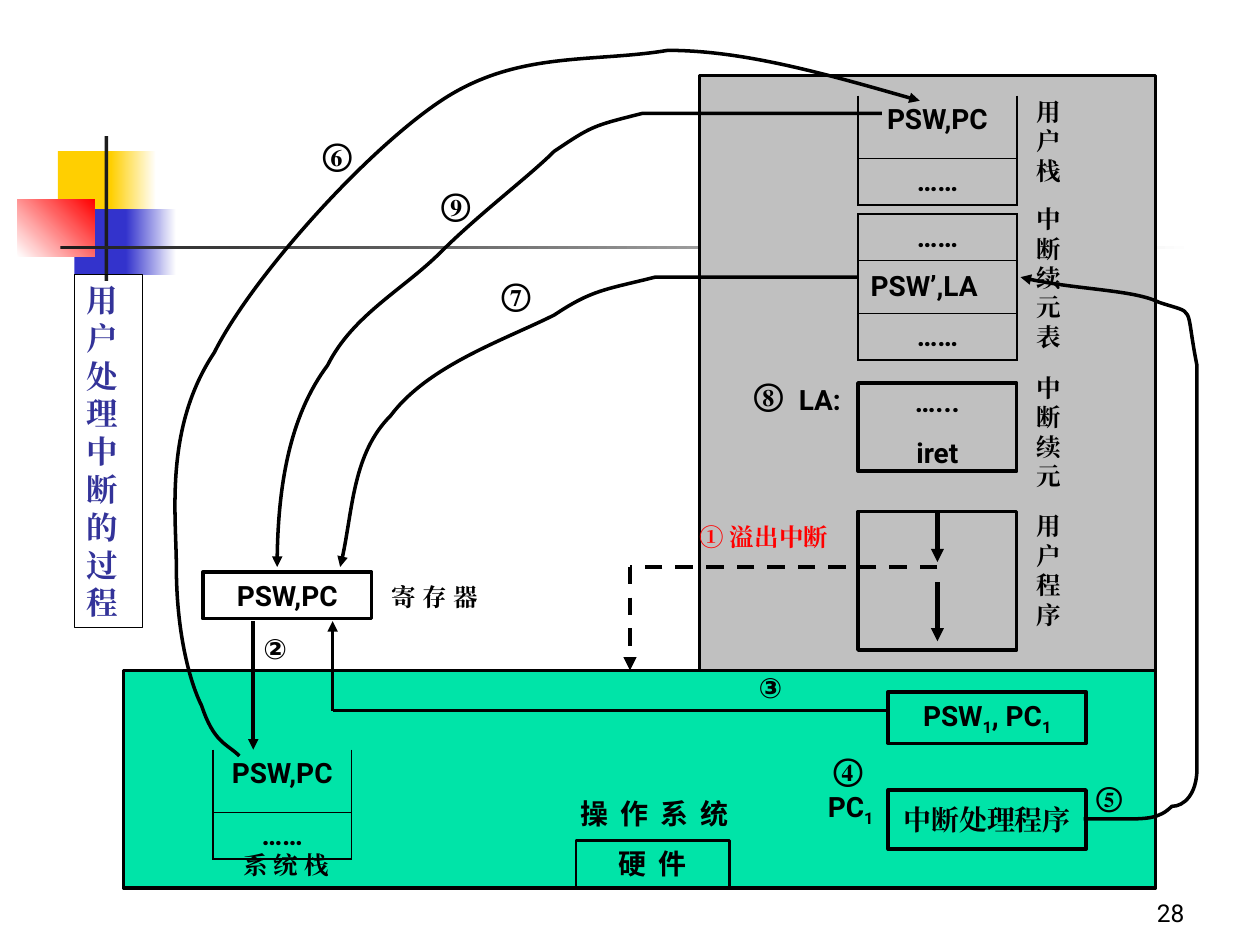
from lxml import etree
from pptx import Presentation
from pptx import util as u
from pptx.dml.color import RGBColor
from pptx.enum import dml, shapes, text
from pptx.oxml import ns

COLS, ROWS = 100, 75  # the page is a grid of square cells
CELL = u.Inches(0.1)
COLORS = {"ink": "000000", "gray": "C0C0C0", "green": "00E4A8", "red": "FF0000",
          "title": "333399", "yellow": "FFCF01", "blue": "3333CC",
          "white": "FFFFFF", "dark": "1C1C1C"}
RGB = {name: RGBColor.from_string(value) for name, value in COLORS.items()}
SANS, SERIF, CJK = "Roboto", "Times New Roman", "Noto Sans CJK SC"
LEFT, CENTER, RIGHT = text.PP_ALIGN.LEFT, text.PP_ALIGN.CENTER, text.PP_ALIGN.RIGHT
MIDDLE = text.MSO_ANCHOR.MIDDLE


def write(frame, lines, size=16, font=SANS, align=CENTER, color="ink", bold=True, gap=0, spread=0):
    """Fill a text frame; the parts between underscores become subscripts."""
    frame.word_wrap = True
    for number, line in enumerate(lines):
        para = frame.add_paragraph() if number else frame.paragraphs[0]
        para.alignment = align
        if number and gap:
            para.space_before = u.Pt(gap)
        for index, part in enumerate(line.split("_")):
            if not part:
                continue
            span = para.add_run()
            span.text = part
            span.font.size, span.font.bold = u.Pt(size), bold
            span.font.name = font
            span.font.color.rgb = RGB[color]
            props = span.font._element
            etree.SubElement(props, ns.qn("a:ea")).set("typeface", font)
            if index % 2:
                props.set("baseline", "-25000")
            if spread:
                props.set("spc", str(spread))


def stroke(shape, width=2, arrow=False, dashed=False):
    """Give a shape or connector a plain black line and no shadow."""
    shape.line.color.rgb = RGB["ink"]
    shape.line.width = u.Pt(width)
    if dashed:
        shape.line.dash_style = dml.MSO_LINE.DASH
    if arrow:
        etree.SubElement(shape.line._get_or_add_ln(), ns.qn("a:tailEnd")).set("type", "triangle")
    props = shape._element.spPr
    if props.find(ns.qn("a:effectLst")) is None:
        etree.SubElement(props, ns.qn("a:effectLst"))


deck = Presentation()
deck.slide_width, deck.slide_height = COLS * CELL, ROWS * CELL
page = deck.slides.add_slide(deck.slide_layouts[6])

# Corner ornament: x, y, width, height, start colour, end colour, angle
ornament = [
    (4.6, 12, 4.8, 5.2, "yellow", None, 0),
    (8.8, 12, 3.6, 5.2, "yellow", "white", 0),
    (5.9, 16.6, 4.6, 5.2, "blue", None, 0),
    (10, 16.6, 4, 5.2, "blue", "white", 0),
    (1.4, 15.8, 6.1, 4.6, "white", "red", 45),
    (8.3, 10.8, 0.3, 11.5, "dark", None, 0),
    (4.8, 19.5, 90, 0.3, "dark", "white", 0),
]
for x, y, w, h, start, end, angle in ornament:
    patch = page.shapes.add_shape(shapes.MSO_SHAPE.RECTANGLE, *(int(n * CELL) for n in (x, y, w, h)))
    patch.shadow.inherit = False
    patch.line.fill.background()
    if end:
        patch.fill.gradient()
        patch.fill.gradient_angle = angle
        for stop, color in zip(patch.fill.gradient_stops, (start, end)):
            stop.color.rgb = RGB[color]
    else:
        patch.fill.solid()
        patch.fill.fore_color.rgb = RGB[start]

# Outlined boxes: x, y, width, height, fill, line width, lines, text options
boxes = [
    (55.5, 6, 36.2, 47.2, "gray", 2, [], {}),
    (9.8, 53.2, 81.9, 17.3, "green", 2, [], {}),
    (45.7, 66.7, 12.2, 3.7, None, 1.5, ["硬 件"], {"font": CJK, "spread": 170}),
    (70.5, 62.7, 15.7, 4.7, None, 2, ["中断处理程序"], {"font": SERIF}),
    (16.1, 45.4, 13.4, 3.7, None, 2, ["PSW,PC"], {}),
    (68.1, 40.6, 12.6, 11, None, 2, [], {}),
    (68.1, 30.4, 12.6, 7, None, 2, ["…...", "iret"], {"gap": 10}),
    (70.5, 54.9, 15.7, 4.1, None, 2, ["PSW_1_, PC_1"], {}),
    (5.9, 21.8, 5.4, 28, None, 0.75, list("用户处理中断的过程"),
     {"size": 18, "font": SERIF, "align": LEFT, "color": "title"}),
]
for x, y, w, h, fill, width, lines, options in boxes:
    box = page.shapes.add_shape(shapes.MSO_SHAPE.RECTANGLE, *(int(n * CELL) for n in (x, y, w, h)))
    stroke(box, width)
    if fill:
        box.fill.solid()
        box.fill.fore_color.rgb = RGB[fill]
    else:
        box.fill.background()
    if lines:
        frame = box.text_frame
        frame.margin_top = frame.margin_bottom = 0
        frame.vertical_anchor = MIDDLE
        write(frame, lines, **options)

# Stacks and the continuation table: x, y, width, row heights, rows, closed at the top
tables = [
    (16.9, 59.5, 11, (5, 3.7), ("", "……"), False),
    (68.1, 7.6, 12.6, (5, 3.7), ("", "……"), False),
    (68.1, 17, 12.6, (3.7, 4.2, 3.7), ("……", "PSW’,LA", "……"), True),
]
for x, y, w, heights, rows, closed in tables:
    holder = page.shapes.add_table(len(rows), 1, *(int(n * CELL) for n in (x, y, w, sum(heights))))
    table = holder.table
    table.first_row = table.horz_banding = False
    table._tbl.tblPr.find(ns.qn("a:tableStyleId")).text = "{2D5ABB26-0587-4C30-8999-92F81FD0307C}"
    for number, (height, words) in enumerate(zip(heights, rows)):
        table.rows[number].height = int(height * CELL)
        cell = table.cell(number, 0)
        top = 0.45 if number else 1.08 if closed else 0
        bottom = 1.08 if number == len(rows) - 1 else 0.45
        props = cell._tc.get_or_add_tcPr()
        for side, width in (("L", 1.08), ("R", 1.08), ("T", top), ("B", bottom)):
            if width:
                edge = etree.SubElement(props, ns.qn(f"a:ln{side}"), w=str(u.Pt(width)))
                paint = etree.SubElement(edge, ns.qn("a:solidFill"))
                etree.SubElement(paint, ns.qn("a:srgbClr"), val=COLORS["ink"])
        cell.fill.background()
        cell.vertical_anchor = MIDDLE
        if words:
            write(cell.text_frame, [words], align=LEFT if "LA" in words else CENTER)

# Straight lines: from, to, width, arrow, dashed
lines = [
    ((74.4, 40.6), (74.4, 44.6), 2.5, True, False),
    ((74.4, 46.2), (74.4, 50.9), 2.5, True, False),
    ((74.4, 45), (50, 45), 2.5, False, True),
    ((50, 45), (50, 53.2), 2.5, True, True),
    ((20.1, 49.3), (20.1, 59.5), 2, True, False),
    ((70.5, 56.4), (26.4, 56.4), 2, False, False),
    ((26.4, 56.4), (26.4, 49.3), 2, True, False),
]
for start, end, width, arrow, dashed in lines:
    line = page.shapes.add_connector(shapes.MSO_CONNECTOR.STRAIGHT, *(int(n * CELL) for n in start + end))
    stroke(line, width, arrow, dashed)

# Curved arrows: a start point, then two control points and an end point per bend
curves = [
    [(68.1, 22.5), (62.3, 22.3), (56.4, 22.1), (52.4, 22.5), (48.3, 22.9), (47.2, 23.2), (43.7, 24.9),
     (40.2, 26.6), (33.9, 29.4), (31.1, 32.8), (28.3, 36.2), (27.7, 40.8), (27.2, 45.4)],
    [(69.7, 9.2), (62.3, 8.9), (55, 8.6), (50.8, 9.2), (46.6, 9.7), (47.1, 10.5), (44.5, 12.3),
     (41.9, 14.2), (38.2, 17.4), (35, 20.2), (31.9, 22.9), (27.8, 24.6), (25.6, 28.8),
     (23.4, 33), (22.5, 39.2), (21.6, 45.4)],
    [(19.3, 59.5), (18.2, 59.1), (17.1, 58.8), (16.1, 56.4), (15.2, 54), (13.6, 50.1), (13.8, 45.4),
     (13.9, 40.7), (13.4, 34.2), (16.9, 28.1), (20.5, 21.9), (29, 12.3), (35, 8.4),
     (41.1, 4.4), (46.8, 4.6), (53.1, 4.4), (59.4, 4.3), (66.1, 5.9), (72.8, 7.6)],
    [(86.2, 65.1), (87.2, 65.1), (88.2, 65.2), (89.4, 65.1), (90.6, 64.9), (92.4, 64.9), (93.3, 64.3),
     (94.2, 63.6), (94.6, 62.8), (94.9, 61.1), (95.1, 59.4), (94.9, 59.4), (94.9, 54),
     (94.9, 48.7), (95.3, 33.8), (94.9, 28.8), (94.5, 23.9), (94.9, 25.2), (92.5, 24.1),
     (90.2, 23.1), (85.4, 22.8), (80.7, 22.5)],
]
for points in curves:
    builder = page.shapes.build_freeform(*points[0], scale=CELL)
    builder.add_line_segments(points[1:], close=False)
    curve = builder.convert_to_shape()
    # Every three straight segments become one cubic bend.
    segments = list(curve._element.iter(ns.qn("a:lnTo")))
    for first in range(0, len(segments), 3):
        bend = etree.Element(ns.qn("a:cubicBezTo"))
        segments[first].addprevious(bend)
        for segment in segments[first:first + 3]:
            bend.append(segment[0])
            segment.getparent().remove(segment)
    curve.fill.background()
    stroke(curve, 2, arrow=True)

# Free labels: x, y, width, height, lines, size, font, alignment, text options
labels = [
    (42.1, 63.2, 19.7, 2.7, ["操 作 系 统"], 16, CJK, CENTER, {"spread": 170}),
    (65.7, 62.7, 4.7, 3, ["PC_1"], 16, SANS, LEFT, {}),
    (19.3, 67.5, 7.1, 2.3, ["系 统 栈"], 14, SERIF, LEFT, {}),
    (31.1, 46.2, 7.1, 2.3, ["寄 存 器"], 14, SERIF, LEFT, {}),
    (82.3, 7.7, 2.4, 7, list("用户栈"), 14, SERIF, LEFT, {}),
    (82.3, 16.2, 3.1, 11.7, ["中断续元表"], 14, SERIF, LEFT, {}),
    (82.3, 29.6, 3.1, 9.3, ["中断续元"], 14, SERIF, LEFT, {}),
    (82.3, 40.6, 3.1, 9.3, list("用户程序"), 14, SERIF, LEFT, {}),
    (63.4, 30.4, 3.9, 2.7, ["LA:"], 16, SANS, LEFT, {}),
    (16.9, 60, 11, 2.7, ["PSW,PC"], 16, SANS, CENTER, {}),
    (68.9, 8.1, 11, 2.7, ["PSW,PC"], 16, SANS, CENTER, {}),
    (55.5, 41.4, 11.8, 2.3, ["① 溢出中断"], 14, SERIF, LEFT, {"color": "red"}),
    (20.9, 50.1, 3.1, 2.7, ["②"], 16, SANS, LEFT, {}),
    (60.2, 53.2, 3.1, 2.7, ["③"], 16, SANS, LEFT, {}),
    (65.7, 59.5, 3.2, 3, ["④"], 18, SERIF, CENTER, {}),
    (87, 61.9, 3.1, 2.7, ["⑤"], 16, SERIF, LEFT, {}),
    (25.6, 10.7, 3.1, 3, ["⑥"], 18, SERIF, LEFT, {}),
    (39.8, 21.8, 3.1, 3, ["⑦"], 18, SERIF, LEFT, {}),
    (59.4, 29.8, 3.2, 3, ["⑧"], 18, SERIF, CENTER, {}),
    (35, 14.7, 3.1, 3, ["⑨"], 18, SERIF, LEFT, {}),
    (74.2, 71.3, 19.8, 2.4, ["28"], 14, SANS, RIGHT, {"bold": False}),
]
for x, y, w, h, words, size, font, align, options in labels:
    label = page.shapes.add_textbox(*(int(n * CELL) for n in (x, y, w, h)))
    frame = label.text_frame
    frame.margin_left = frame.margin_right = frame.margin_top = frame.margin_bottom = 0
    write(frame, words, size, font, align, **options)

deck.save("out.pptx")
